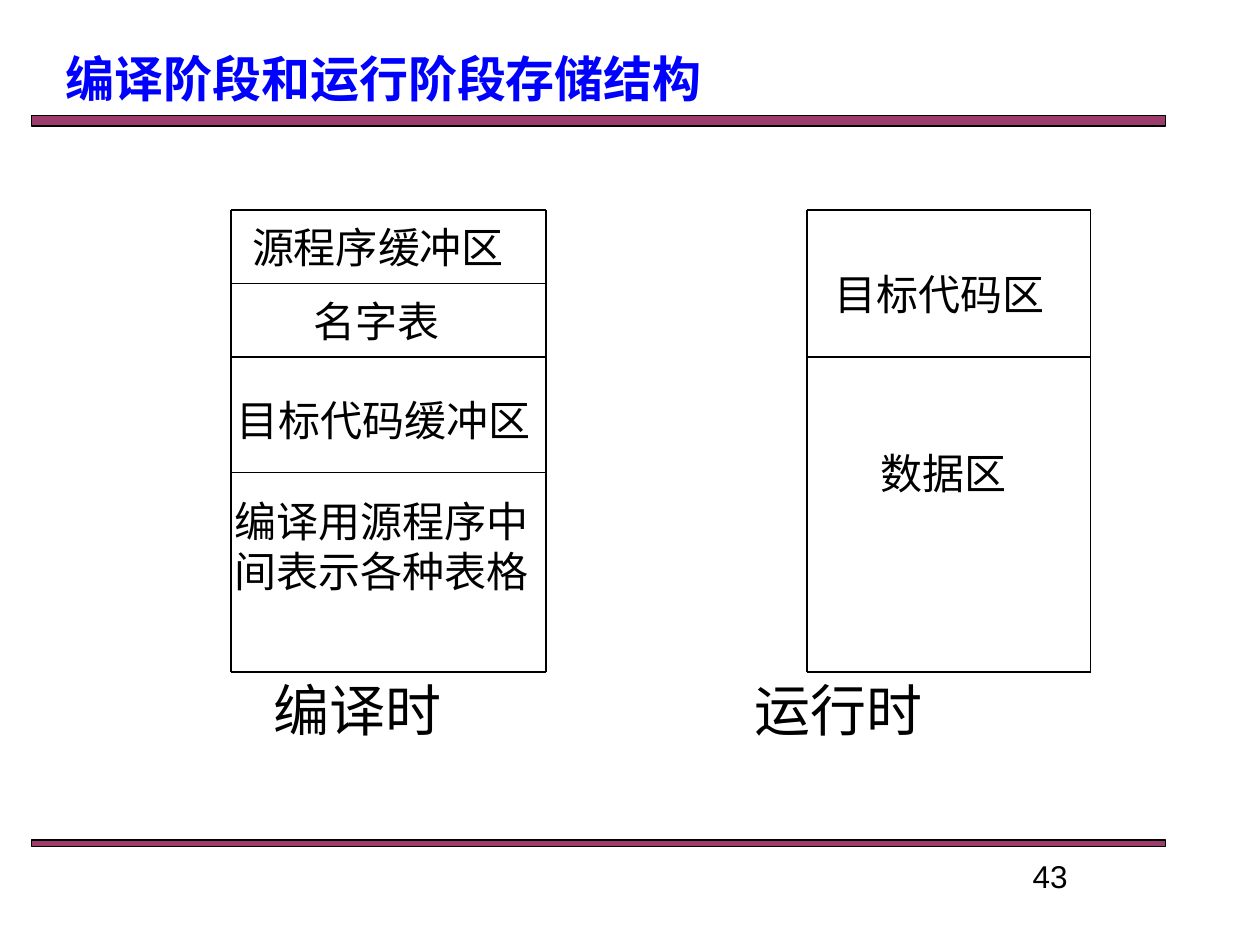
from itertools import pairwise

from lxml import etree
from pptx import Presentation
from pptx.dml.color import RGBColor
from pptx.enum.shapes import MSO_CONNECTOR, MSO_SHAPE
from pptx.enum.text import MSO_ANCHOR, MSO_AUTO_SIZE, PP_ALIGN
from pptx.oxml.ns import qn
from pptx.util import Emu, Pt

STRAIGHT = MSO_CONNECTOR.STRAIGHT
RECTANGLE = MSO_SHAPE.RECTANGLE
TOP, MIDDLE, BOTTOM = MSO_ANCHOR.TOP, MSO_ANCHOR.MIDDLE, MSO_ANCHOR.BOTTOM
LEFT, CENTER = PP_ALIGN.LEFT, PP_ALIGN.CENTER
NO_AUTOFIT = MSO_AUTO_SIZE.NONE

EMU_PER_PX = 9525
BLACK, WHITE, BLUE, PLUM = "000000", "FFFFFF", "0000FF", "993366"

COMPILE_COLUMNS = (176, 320, 416)
COMPILE_ROWS = (160, 216, 272, 360, 512)
RUNTIME_COLUMNS = (615, 831)
RUNTIME_ROWS = (160, 272, 512)
SIDE_STOPS = (160, 480, 512)

REGIONS = (
    (("名字表",), (239, 224, 96, 40)),
    (("目标代码缓冲区",), (208, 288, 168, 64)),
    (("编译用源程序中", "间表示各种表格"), (191, 368, 200, 96)),
    (("目标代码区",), (680, 184, 72, 80)),
    (("数据区",), (671, 312, 96, 96)),
    (("源程序缓冲区",), (200, 168, 176, 40)),
)


def px(length):
    return Emu(length * EMU_PER_PX)


def color(hex_value):
    return RGBColor.from_string(hex_value)


def place(item, box):
    item.left, item.top, item.width, item.height = map(px, box)


def write(paragraph, text, font, size, ink=BLACK, bold=False, align=CENTER):
    paragraph.alignment = align
    run = paragraph.add_run()
    run.text = text
    run.font.name = font
    run.font.size = Pt(size)
    run.font.bold = bold
    run.font.color.rgb = color(ink)


def add_rectangle(slide, box, fill, outline):
    rectangle = slide.shapes.add_shape(RECTANGLE, *map(px, box))
    rectangle.shadow.inherit = False
    rectangle.fill.solid()
    rectangle.fill.fore_color.rgb = color(fill)
    rectangle.line.color.rgb = color(outline)
    rectangle.line.width = Pt(0.75)
    return rectangle


def add_rule_bar(slide, box):
    bar = add_rectangle(slide, box, PLUM, BLACK)
    fill_color = bar.fill._xPr.find(qn("a:solidFill"))[0]
    etree.SubElement(fill_color, qn("a:alpha"), val="96000")


def add_line(slide, start, end):
    line = slide.shapes.add_connector(STRAIGHT, *map(px, start + end))
    line.line.color.rgb = color(BLACK)
    line.line.width = Pt(0.75)
    etree.SubElement(line._element.spPr, qn("a:effectLst"))


def add_memory_frame(slide, columns, rows):
    for y in rows:
        for start, end in pairwise(columns):
            add_line(slide, (start, y), (end, y))
    for x in (columns[0], columns[-1]):
        for start, end in pairwise(SIDE_STOPS):
            add_line(slide, (x, start), (x, end))


def add_region(slide, lines, box):
    frame = add_rectangle(slide, box, WHITE, WHITE).text_frame
    frame.word_wrap = False
    frame.vertical_anchor = MIDDLE
    for index, text in enumerate(lines):
        paragraph = frame.add_paragraph() if index else frame.paragraphs[0]
        write(paragraph, text, "Times New Roman", 24)


def set_title(slide):
    title = slide.shapes.title
    place(title, (24, 32, 864, 72))
    frame = title.text_frame
    frame.auto_size = NO_AUTOFIT
    frame.vertical_anchor = TOP
    frame.margin_left, frame.margin_top = px(26), px(5)
    write(frame.paragraphs[0], "编译阶段和运行阶段存储结构",
          "Noto Sans CJK SC", 28, BLUE, True, LEFT)


def set_caption(caption, text, box, inset):
    place(caption, box)
    frame = caption.text_frame
    frame.auto_size = NO_AUTOFIT
    frame.vertical_anchor = BOTTOM
    frame.margin_left, frame.margin_bottom = px(inset), px(18)
    paragraph = frame.paragraphs[0]
    write(paragraph, text, "Arial", 32, align=LEFT)
    properties = paragraph._p.get_or_add_pPr()
    properties.set("marL", "0")
    properties.set("indent", "0")
    etree.SubElement(properties, qn("a:buNone"))


def add_page_number(slide, number):
    page_box = slide.shapes.add_textbox(*map(px, (688, 648, 224, 40)))
    page_box.text_frame.word_wrap = True
    write(page_box.text_frame.paragraphs[0], number, "Arial", 18)


def main():
    deck = Presentation()
    deck.slide_width, deck.slide_height = px(960), px(720)
    slide = deck.slides.add_slide(deck.slide_layouts[3])
    set_title(slide)
    set_caption(slide.placeholders[1], "编译时", (161, 152, 352, 432), 47)
    set_caption(slide.placeholders[2], "运行时", (513, 152, 351, 432), 62)
    add_rule_bar(slide, (24, 88, 864, 8))
    add_rule_bar(slide, (24, 640, 864, 5))
    add_memory_frame(slide, COMPILE_COLUMNS, COMPILE_ROWS)
    add_memory_frame(slide, RUNTIME_COLUMNS, RUNTIME_ROWS)
    for lines, box in REGIONS:
        add_region(slide, lines, box)
    add_page_number(slide, "43")
    deck.save("out.pptx")


if __name__ == "__main__":
    main()
